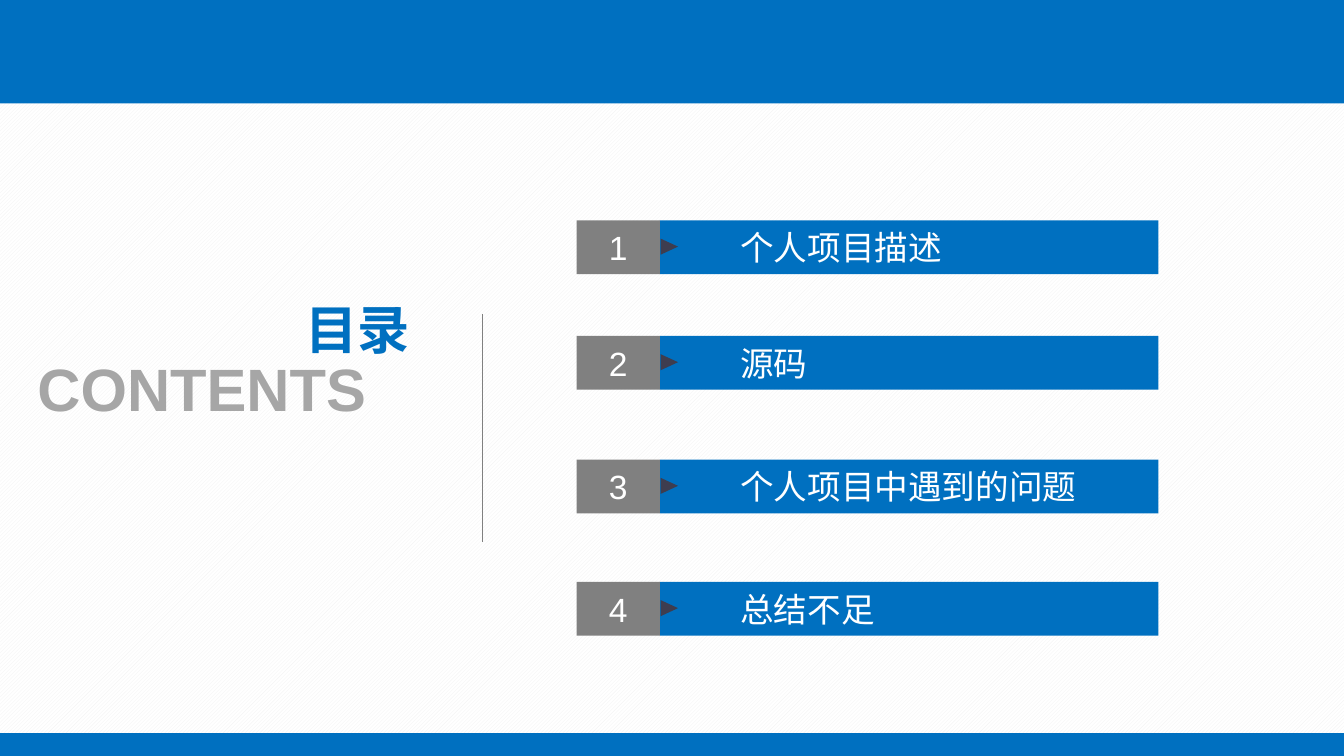
from typing import NamedTuple

from lxml.etree import SubElement
from pptx import Presentation
from pptx.dml.color import RGBColor
from pptx.enum.dml import MSO_PATTERN
from pptx.enum.shapes import MSO_CONNECTOR, MSO_SHAPE
from pptx.enum.text import MSO_ANCHOR, MSO_AUTO_SIZE, PP_ALIGN
from pptx.oxml.ns import qn
from pptx.util import Inches, Pt

BLUE = RGBColor(0x00, 0x70, 0xC0)
GRAY = RGBColor(0x80, 0x80, 0x80)
LIGHT_GRAY = RGBColor(0xA6, 0xA6, 0xA6)
PALE_GRAY = RGBColor(0xF2, 0xF2, 0xF2)
DARK = RGBColor(0x3E, 0x3D, 0x4F)
WHITE = RGBColor(0xFF, 0xFF, 0xFF)
FONT = "Arial"

WIDTH = 10
HEIGHT = WIDTH * 9 / 16
HEADER_H, FOOTER_H = 0.77, 0.17
NUMBER_X, NUMBER_W = 4.29, 0.62
BAR_X, BAR_W = NUMBER_X + NUMBER_W, 3.71
ROW_H = 0.4
ARROW_W, ARROW_H = 0.12, 0.13


class Entry(NamedTuple):
    number: int
    text: str
    top: float


ENTRIES = [
    Entry(1, "个人项目描述", 1.64),
    Entry(2, "源码", 2.5),
    Entry(3, "个人项目中遇到的问题", 3.42),
    Entry(4, "总结不足", 4.33),
]


def add_block(shapes, kind, left: float, top: float, width: float,
              height: float, color: RGBColor):
    """Add a filled preset shape without outline or shadow."""
    sp = shapes.add_shape(kind, Inches(left), Inches(top),
                          Inches(width), Inches(height))
    sp.shadow.inherit = False
    sp.fill.solid()
    sp.fill.fore_color.rgb = color
    sp.line.fill.background()
    return sp


def write(sp, text: str, size: float, color: RGBColor, align=PP_ALIGN.LEFT,
          anchor=MSO_ANCHOR.MIDDLE, bold: bool = False):
    tf = sp.text_frame
    tf.vertical_anchor = anchor
    p = tf.paragraphs[0]
    p.text = text
    p.alignment = align
    font = p.font
    font.name, font.size, font.bold = FONT, Pt(size), bold
    font.color.rgb = color
    return p


def add_entry(shapes, entry: Entry) -> None:
    group = shapes.add_group_shape().shapes
    bar = add_block(group, MSO_SHAPE.RECTANGLE, BAR_X, entry.top,
                    BAR_W, ROW_H, BLUE)
    p = write(bar, entry.text, 18, WHITE)
    p._p.get_or_add_pPr().set("indent", str(Inches(0.5)))

    box = add_block(group, MSO_SHAPE.RECTANGLE, NUMBER_X, entry.top,
                    NUMBER_W, ROW_H, GRAY)
    write(box, str(entry.number), 18, WHITE, PP_ALIGN.CENTER)

    arrow = add_block(group, MSO_SHAPE.ISOSCELES_TRIANGLE, BAR_X + 0.01,
                      entry.top + 0.13, ARROW_W, ARROW_H, DARK)
    arrow.rotation = 90


def add_headings(slide) -> None:
    contents = slide.shapes.add_textbox(Inches(0.18), Inches(2.57),
                                        Inches(3.42), Inches(0.64))
    contents.text_frame.word_wrap = True
    write(contents, "CONTENTS", 32, LIGHT_GRAY, anchor=MSO_ANCHOR.TOP, bold=True)

    title = slide.shapes.title
    title.left, title.top = Inches(2.17), Inches(2.16)
    title.width, title.height = Inches(0.99), Inches(0.57)
    title.text_frame.word_wrap = False
    write(title, "目录", 28, BLUE, anchor=MSO_ANCHOR.TOP, bold=True)

    for sp in (contents, title):
        sp.text_frame.auto_size = MSO_AUTO_SIZE.SHAPE_TO_FIT_TEXT


def add_divider(shapes) -> None:
    x = Inches(3.59)
    line = shapes.add_connector(MSO_CONNECTOR.STRAIGHT,
                                x, Inches(2.34), x, Inches(4.03))
    line.line.color.rgb = GRAY
    line.line.width = Pt(0.75)
    SubElement(line._element.spPr, qn("a:effectLst"))


def main() -> None:
    prs = Presentation()
    prs.slide_width, prs.slide_height = Inches(WIDTH), Inches(HEIGHT)
    slide = prs.slides.add_slide(prs.slide_layouts.get_by_name("Title Only"))

    fill = slide.background.fill
    fill.patterned()
    fill.pattern = MSO_PATTERN.LIGHT_UPWARD_DIAGONAL
    fill.fore_color.rgb = PALE_GRAY
    fill.back_color.rgb = WHITE

    for top, height in ((0, HEADER_H), (HEIGHT - FOOTER_H, FOOTER_H)):
        add_block(slide.shapes, MSO_SHAPE.RECTANGLE, 0, top, WIDTH, height, BLUE)
    add_headings(slide)
    add_divider(slide.shapes)
    for entry in ENTRIES:
        add_entry(slide.shapes, entry)

    prs.save("out.pptx")


if __name__ == "__main__":
    main()
